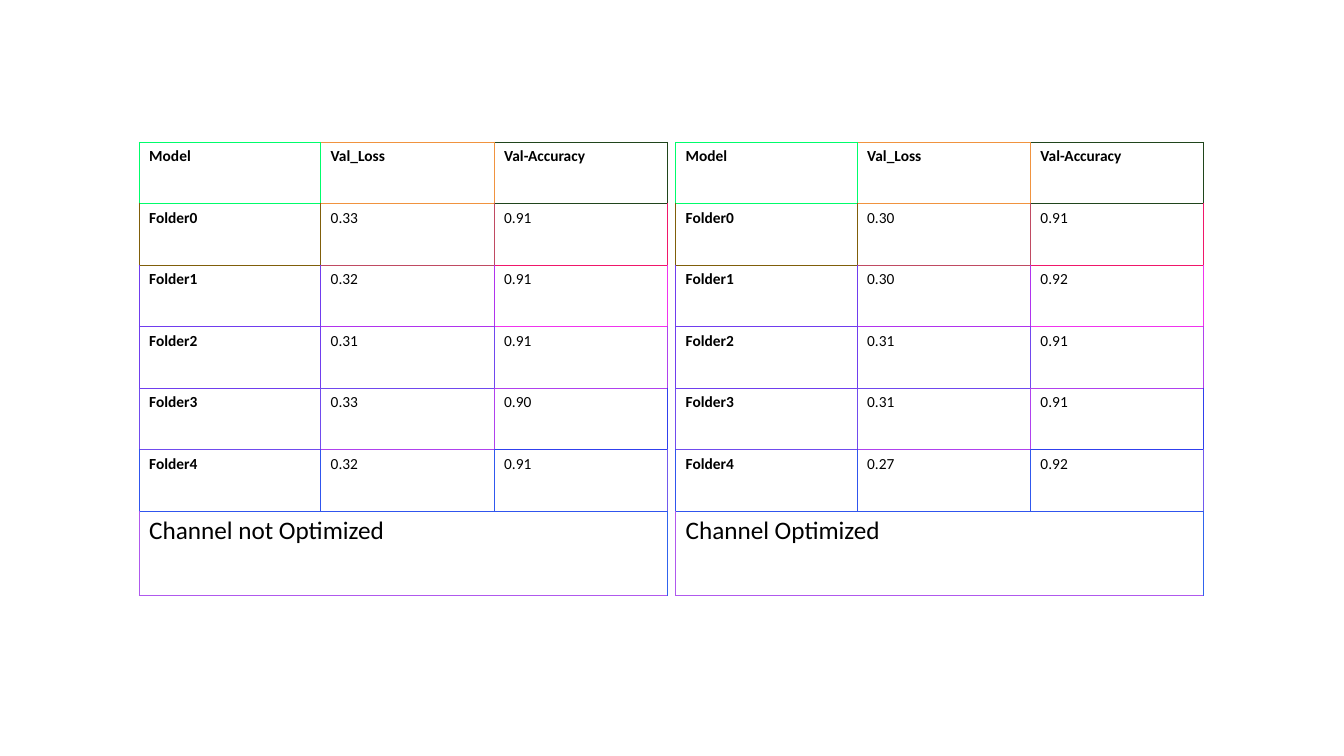
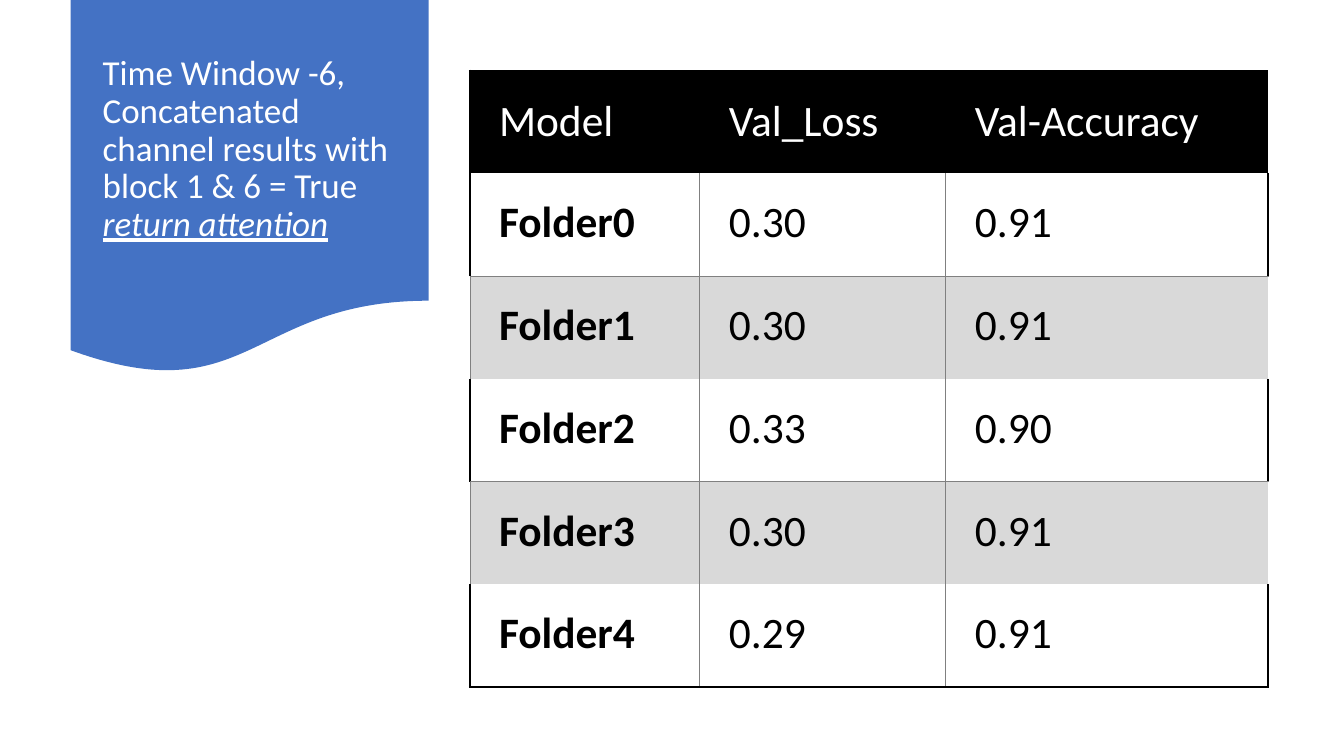
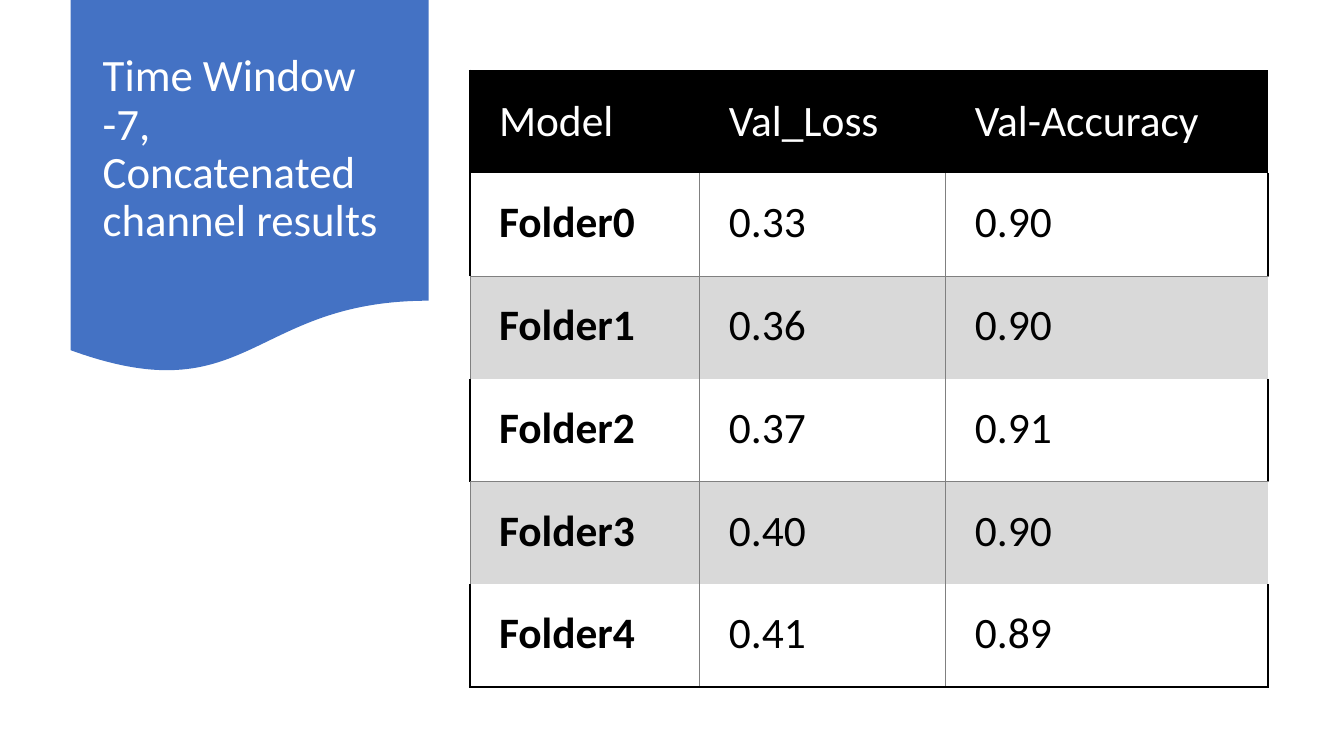
import pptx
import pptx.util
import pptx.dml.color
import pptx.enum.shapes
import pptx.enum.text
import pptx.oxml.ns
from lxml import etree

Inches, Pt = pptx.util.Inches, pptx.util.Pt
RGBColor = pptx.dml.color.RGBColor
ANCHOR = pptx.enum.text.MSO_ANCHOR

FONT = "Calibri"
BLACK = RGBColor(0x00, 0x00, 0x00)
WHITE = RGBColor(0xFF, 0xFF, 0xFF)
BLUE = RGBColor(0x44, 0x72, 0xC4)
GREY = RGBColor(0x80, 0x80, 0x80)
BAND = RGBColor(0xD9, 0xD9, 0xD9)

THIN, THICK = (GREY, 0.5), (BLACK, 1.5)
SIDES = {"left": "a:lnL", "right": "a:lnR", "top": "a:lnT", "bottom": "a:lnB"}
HEADER = ["Model", "Val_Loss", "Val-Accuracy"]

# Each cell's own line colour; its left and top lines come from its neighbours.
LINE_COLOURS = [[RGBColor.from_string(c) for c in row.split()] for row in (
    "00FD6B F0933F 20451C",
    "805E0A C04A62 F0176A",
    "703DEE B033EE F034EE",
    "703EEE 7048EE B041EE",
    "704BEE B041EE 3040EE",
    "3055EE 3058EE 705AEE",
)]
CAPTION_LINE = RGBColor(0xB0, 0x59, 0xEE)
CAPTION_RIGHT = RGBColor(0x30, 0x64, 0xEE)


def format_run(r, **values):
    values = {"name": FONT, **values}
    r.font.color.rgb = values.pop("color", BLACK)
    for name, value in values.items():
        setattr(r.font, name, value)


def set_borders(cell, borders):
    """Draw the given sides as (colour, points) and clear the others."""
    tc_pr = cell._tc.get_or_add_tcPr()
    qn = pptx.oxml.ns.qn
    for i, (side, tag) in enumerate(SIDES.items()):
        ln = etree.Element(qn(tag))
        tc_pr.insert(i, ln)
        if side in borders:
            colour, width = borders[side]
            ln.set("w", str(Pt(width)))
            fill = etree.SubElement(ln, qn("a:solidFill"))
            etree.SubElement(fill, qn("a:srgbClr"), val=str(colour))
        else:
            etree.SubElement(ln, qn("a:noFill"))


def fill_cell(cell, text, borders, margins, fill=None, anchor=ANCHOR.TOP, **font):
    if fill is None:
        cell.fill.background()
    else:
        cell.fill.solid()
        cell.fill.fore_color.rgb = fill
    cell.vertical_anchor = anchor
    for side, margin in zip(SIDES, margins):
        setattr(cell, f"margin_{side}", Inches(margin))
    r = cell.text_frame.paragraphs[0].add_run()
    r.text = text
    format_run(r, **font)
    set_borders(cell, borders)


def add_grid(slide, left, top, widths, heights):
    table = slide.shapes.add_table(
        len(heights), len(widths), Inches(left), Inches(top),
        Inches(sum(widths)), Inches(sum(heights))).table
    table.first_row = table.horz_banding = False
    for column, width in zip(table.columns, widths):
        column.width = Inches(width)
    for row, height in zip(table.rows, heights):
        row.height = Inches(height)
    return table


def result_rows(losses, accuracies):
    folders = [f"Folder{i}" for i in range(len(losses))]
    return [HEADER, *zip(folders, losses, accuracies)]


def add_outlined_results(slide, left, rows, caption):
    margins = (0.1, 0.1, 0.05, 0.05)
    table = add_grid(slide, left, 1.41, [1.8, 1.72, 1.72], [0.61] * 6 + [0.84])
    for i, row in enumerate(rows):
        for j, text in enumerate(row):
            own = LINE_COLOURS[i][j]
            colours = {"left": LINE_COLOURS[i][max(j - 1, 0)], "right": own,
                       "top": LINE_COLOURS[max(i - 1, 0)][j], "bottom": own}
            borders = {side: (colour, 0.6) for side, colour in colours.items()}
            fill_cell(table.cell(i, j), text, borders, margins,
                      size=Pt(11), bold=i == 0 or j == 0)
    last = len(rows)
    cell = table.cell(last, 0)
    cell.merge(table.cell(last, 2))
    colours = {"left": CAPTION_LINE, "right": CAPTION_RIGHT,
               "top": LINE_COLOURS[-1][0], "bottom": CAPTION_LINE}
    borders = {side: (colour, 0.6) for side, colour in colours.items()}
    fill_cell(cell, caption, borders, margins, size=Pt(18))


def banded_borders(i, j, last_row, last_column):
    if i == 0:
        return {"top": THICK, **({"left": THICK} if j == 0 else {})}
    if i % 2 == 0:
        return {"left": THIN, "top": THIN,
                **({"right": THIN} if j < last_column else {})}
    return {"left": THICK if j == 0 else THIN,
            "right": THICK if j == last_column else THIN,
            "bottom": THICK if i == last_row else THIN}


def add_banded_results(slide, rows):
    table = add_grid(slide, 4.66, 0.7, [2.28, 2.44, 3.2], [1.02] * len(rows))
    for i, row in enumerate(rows):
        look = {"fill": BAND if i % 2 == 0 else None}
        if i == 0:
            look = {"fill": BLACK, "color": WHITE, "anchor": ANCHOR.MIDDLE}
        for j, text in enumerate(row):
            borders = banded_borders(i, j, len(rows) - 1, len(row) - 1)
            fill_cell(table.cell(i, j), text, borders, (0.29, 0.22, 0.23, 0.23),
                      size=Pt(31), bold=i > 0 and j == 0, **look)


def add_title_flag(slide, size, title, emphasis=""):
    sp = slide.shapes.add_shape(
        pptx.enum.shapes.MSO_SHAPE.FLOWCHART_DOCUMENT,
        Inches(0.7), Inches(0), Inches(3.55), Inches(3.72))
    sp.shadow.inherit = False
    sp.fill.solid()
    sp.fill.fore_color.rgb = BLUE
    sp.line.fill.background()

    tf = slide.shapes.add_textbox(
        Inches(0.92), Inches(0.19), Inches(3.11), Inches(2.59)).text_frame
    tf.word_wrap = True
    tf.vertical_anchor = ANCHOR.MIDDLE
    p = tf.paragraphs[0]
    p.line_spacing = 0.9
    runs = [(title, {})]
    if emphasis:
        runs.append((emphasis, {"italic": True, "underline": True}))
    for text, extra in runs:
        r = p.add_run()
        r.text = text
        format_run(r, size=Pt(size), color=WHITE, **extra)


def main():
    prs = pptx.Presentation()
    prs.slide_width, prs.slide_height = Inches(13.33), Inches(7.5)
    blank = prs.slide_layouts[6]

    slide = prs.slides.add_slide(blank)
    add_outlined_results(slide, 1.38, result_rows(
        ["0.33", "0.32", "0.31", "0.33", "0.32"],
        ["0.91", "0.91", "0.91", "0.90", "0.91"]), "Channel not Optimized")
    add_outlined_results(slide, 6.7, result_rows(
        ["0.30", "0.30", "0.31", "0.31", "0.27"],
        ["0.91", "0.92", "0.91", "0.91", "0.92"]), "Channel Optimized")

    slide = prs.slides.add_slide(blank)
    add_title_flag(
        slide, 25,
        "Time Window -6, Concatenated channel results with block 1 & 6 = True ",
        "return attention")
    add_banded_results(slide, result_rows(
        ["0.30", "0.30", "0.33", "0.30", "0.29"],
        ["0.91", "0.91", "0.90", "0.91", "0.91"]))

    slide = prs.slides.add_slide(blank)
    add_title_flag(slide, 32, "Time Window -7, Concatenated channel results")
    add_banded_results(slide, result_rows(
        ["0.33", "0.36", "0.37", "0.40", "0.41"],
        ["0.90", "0.90", "0.91", "0.90", "0.89"]))

    prs.save("out.pptx")


if __name__ == "__main__":
    main()
